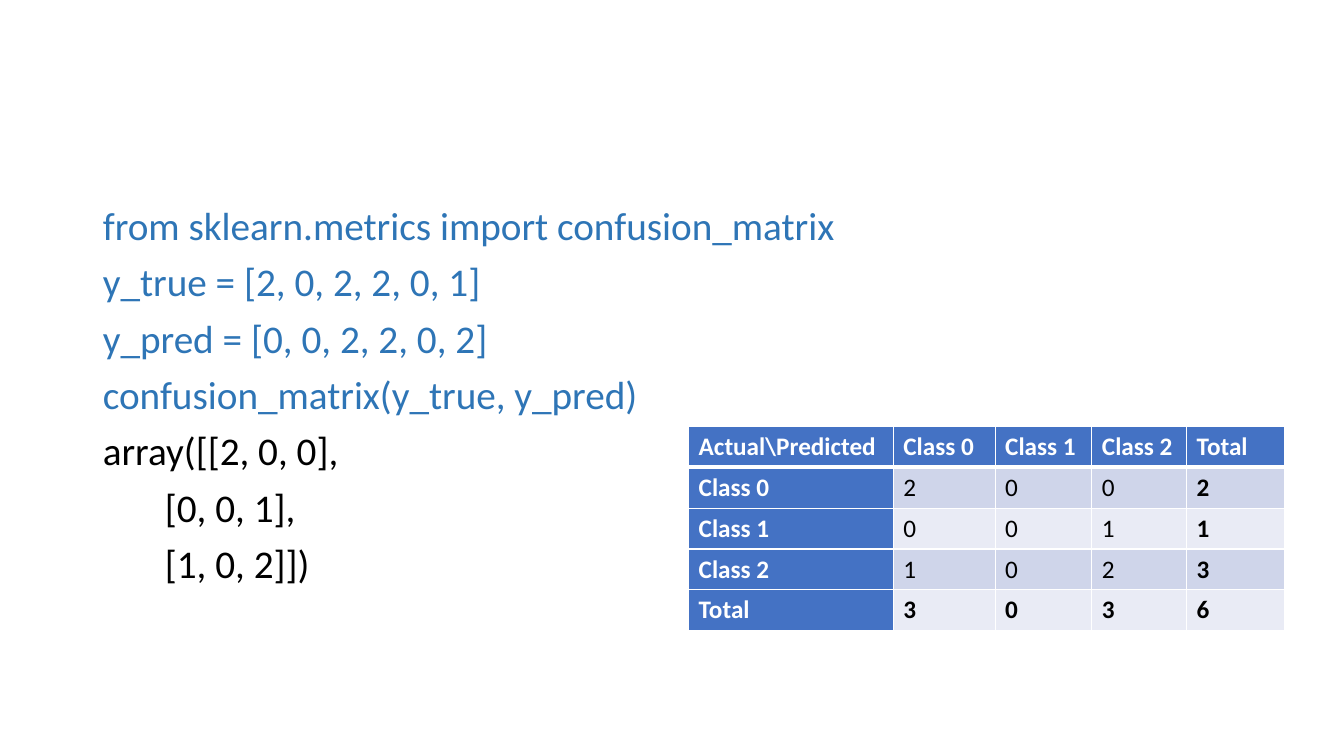
from lxml.etree import SubElement as Sub
from pptx import Presentation
from pptx.dml.color import RGBColor as Rgb
from pptx.enum.text import MSO_ANCHOR as Anchor
from pptx.oxml.ns import qn
from pptx.util import Inches, Pt

COLORS = {"code": "2E75B6", "text": "000000", "head": "4472C4",
          "odd": "CFD5EA", "even": "E9EBF5", "white": "FFFFFF"}


def style(font, size, color, bold=False):
    look = {"name": "Calibri", "size": Pt(size), "bold": bold}
    for key, value in look.items():
        setattr(font, key, value)
    font.color.rgb = Rgb.from_string(COLORS[color])


def edge(cell, side, width):
    """Draw a white border on one side (L, R, T or B) of a cell."""
    line = Sub(cell._tc.get_or_add_tcPr(), qn(f"a:ln{side}"), w=str(Pt(width)))
    Sub(Sub(line, qn("a:solidFill")), qn("a:srgbClr"), val=COLORS["white"])


deck = Presentation()
deck.slide_width, deck.slide_height = Inches(13.33), Inches(7.5)
slide = deck.slides.add_slide(deck.slide_layouts[1])
title = slide.shapes.title.element
title.getparent().remove(title)

# Code listing
body = slide.placeholders[1]
body.left, body.top = Inches(0.92), Inches(2)
body.width, body.height = Inches(11.5), Inches(4.76)
frame = body.text_frame
frame.vertical_anchor = Anchor.TOP
code = [
    "from sklearn.metrics import confusion_matrix",
    "y_true = [2, 0, 2, 2, 0, 1]",
    "y_pred = [0, 0, 2, 2, 0, 2]",
    "confusion_matrix(y_true, y_pred)",
]
output = ["array([[2, 0, 0],", "       [0, 0, 1],", "       [1, 0, 2]])"]
frame.text = "\n".join(code + output)
for i, para in enumerate(frame.paragraphs):
    props = para._p.get_or_add_pPr()
    props.set("marL", "0")
    props.set("indent", "0")
    Sub(props, qn("a:buNone"))
    para.line_spacing = 0.9
    para.space_before = Pt(10 if i else 0)
    style(para.runs[0].font, 28, "code" if i < len(code) else "text")

# Confusion matrix with totals
names = ["Class 0", "Class 1", "Class 2", "Total"]
counts = [[2, 0, 0], [0, 0, 1], [1, 0, 2]]
counts.append([sum(col) for col in zip(*counts)])
rows = [["Actual\\Predicted", *names]]
rows += [[name, *line, sum(line)] for name, line in zip(names, counts)]
widths = [2.03, 1.01, 0.96, 0.94, 0.97]
last = len(names)

table = slide.shapes.add_table(len(rows), len(widths), Inches(6.83), Inches(4.23),
                               Inches(sum(widths)), Inches(2)).table
table.first_col = True
for col, width in zip(table.columns, widths):
    col.width = Inches(width)
for r, row in enumerate(rows):
    for c, value in enumerate(row):
        cell = table.cell(r, c)
        cell.text = str(value)
        head = r == 0 or c == 0
        style(cell.text_frame.paragraphs[0].runs[0].font, 18,
              "white" if head else "text", head or last in (r, c))
        for side in "LRTB":
            thick = (side, r) in (("B", 0), ("T", 1))
            edge(cell, side, 3 if thick else 1)
        fill = "head" if head else "odd" if r % 2 else "even"
        cell.fill.solid()
        cell.fill.fore_color.rgb = Rgb.from_string(COLORS[fill])

deck.save("out.pptx")
